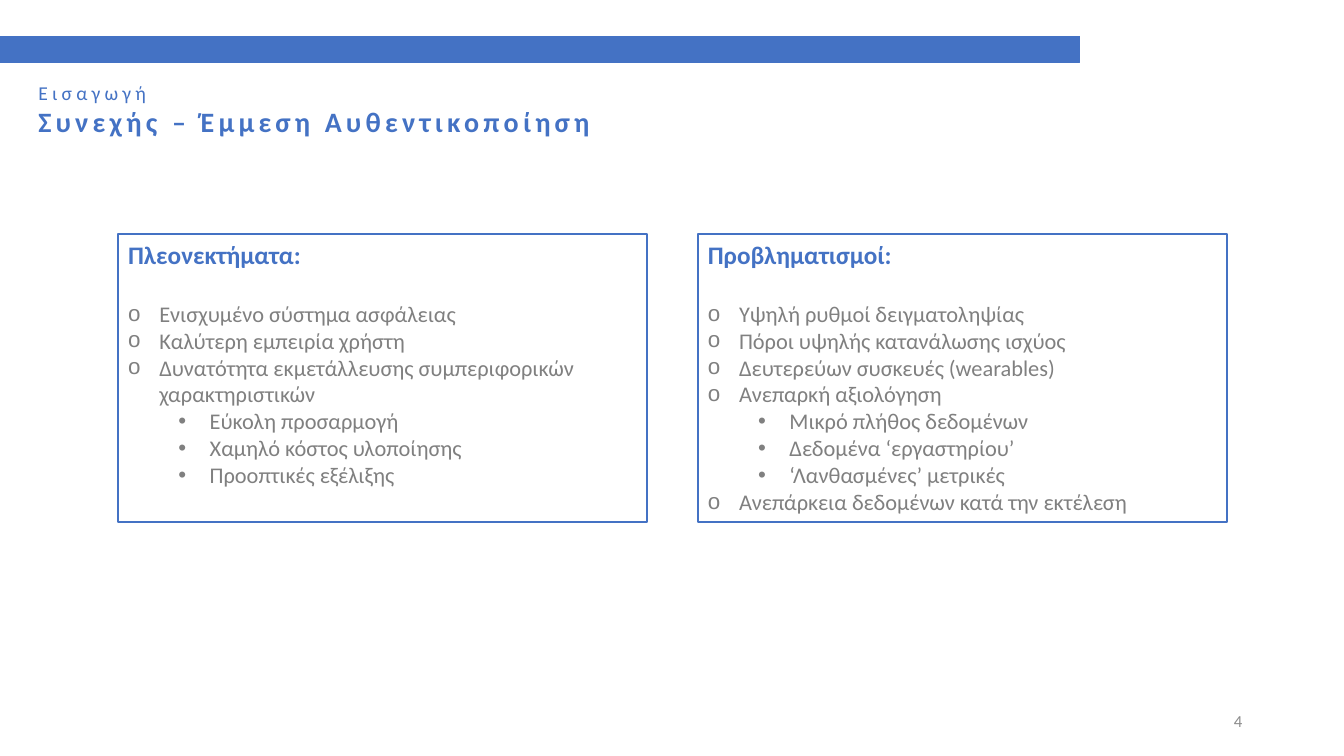
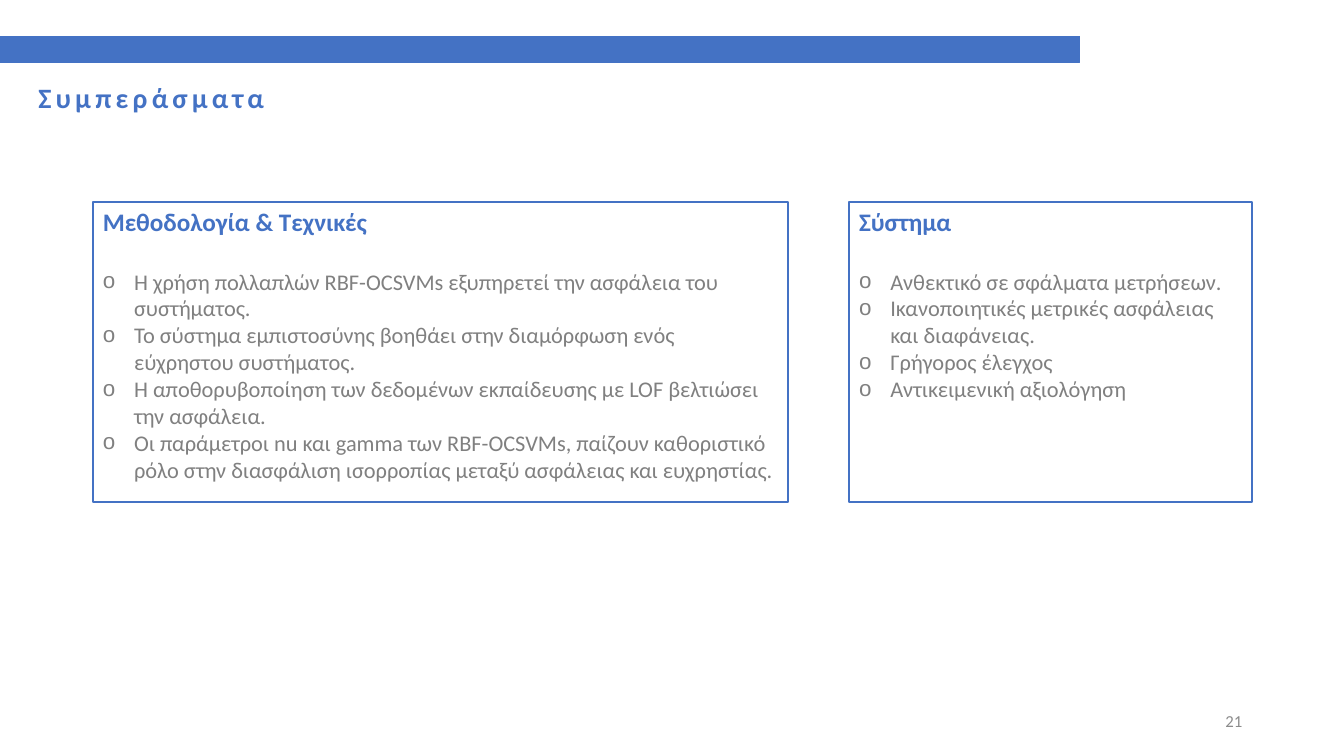
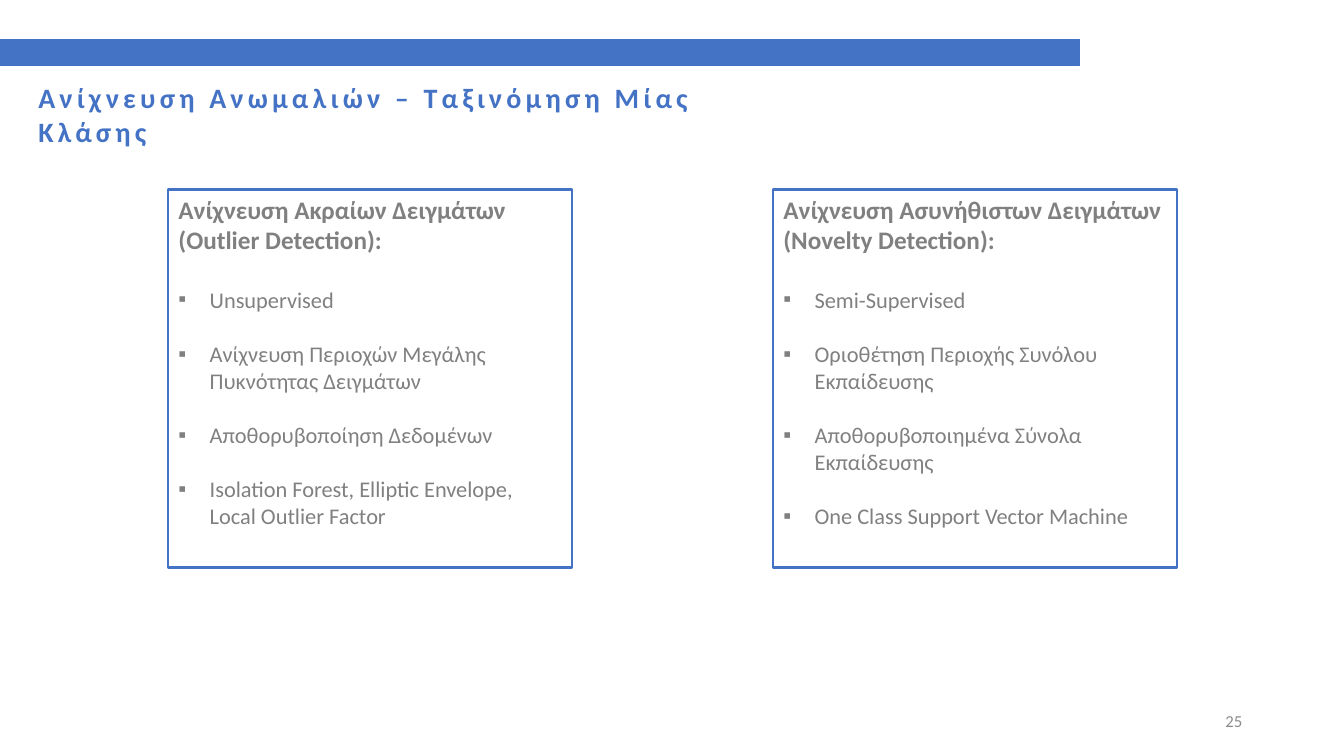
from dataclasses import dataclass

import lxml.etree
import pptx
import pptx.dml.color
import pptx.enum.shapes
import pptx.enum.text
import pptx.oxml.ns
import pptx.util

Inches = pptx.util.Inches
Pt = pptx.util.Pt
RGBColor = pptx.dml.color.RGBColor
PP_ALIGN = pptx.enum.text.PP_ALIGN
MSO_ANCHOR = pptx.enum.text.MSO_ANCHOR

BLUE = RGBColor(0x44, 0x72, 0xC4)
GRAY = RGBColor(0x80, 0x80, 0x80)
NUMBER_GRAY = RGBColor(0x8C, 0x8C, 0x8C)
FONT = "Calibri"
TWO_CONTENT_LAYOUT = 3
HANGING = 0.31
LEVEL_STEP = 0.5


@dataclass(frozen=True)
class Item:
    text: str
    level: int = 0


@dataclass(frozen=True)
class Card:
    left: float
    width: float
    heading: str
    items: tuple[Item, ...]


@dataclass(frozen=True)
class Page:
    number: int
    title: str
    title_width: float
    title_height: float
    card_top: float
    card_height: float
    cards: tuple[Card, Card]
    section: str = ""
    band_top: float = 0.36
    heading_color: RGBColor = BLUE
    bullets: tuple[str, str] = ("o", "•")
    item_gap: float = 0


PAGES = (
    Page(
        4, "Συνεχής – Έμμεση Αυθεντικοποίηση", 5.75, 0.67, 2.32, 2.86,
        (
            Card(1.17, 5.25, "Πλεονεκτήματα:", (
                Item("Ενισχυμένο σύστημα ασφάλειας"),
                Item("Καλύτερη εμπειρία χρήστη"),
                Item("Δυνατότητα εκμετάλλευσης συμπεριφορικών χαρακτηριστικών"),
                Item("Εύκολη προσαρμογή", 1),
                Item("Χαμηλό κόστος υλοποίησης", 1),
                Item("Προοπτικές εξέλιξης", 1),
            )),
            Card(6.92, 5.25, "Προβληματισμοί:", (
                Item("Υψηλή ρυθμοί δειγματοληψίας"),
                Item("Πόροι υψηλής κατανάλωσης ισχύος"),
                Item("Δευτερεύων συσκευές (wearables)"),
                Item("Ανεπαρκή αξιολόγηση"),
                Item("Μικρό πλήθος δεδομένων", 1),
                Item("Δεδομένα ‘εργαστηρίου’", 1),
                Item("‘Λανθασμένες’ μετρικές", 1),
                Item("Ανεπάρκεια δεδομένων κατά την εκτέλεση"),
            )),
        ),
        section="Εισαγωγή",
    ),
    Page(
        21, "Συμπεράσματα", 2.5, 0.44, 2, 2.98,
        (
            Card(0.92, 6.9, "Μεθοδολογία & Τεχνικές", (
                Item("Η χρήση πολλαπλών RBF-OCSVMs εξυπηρετεί την ασφάλεια του συστήματος."),
                Item("Το σύστημα εμπιστοσύνης βοηθάει στην διαμόρφωση ενός εύχρηστου συστήματος."),
                Item("Η αποθορυβοποίηση των δεδομένων εκπαίδευσης με LOF βελτιώσει την ασφάλεια."),
                Item("Οι παράμετροι nu και gamma των RBF-OCSVMs, παίζουν καθοριστικό ρόλο "
                     "στην διασφάλιση ισορροπίας μεταξύ ασφάλειας και ευχρηστίας."),
            )),
            Card(8.42, 4, "Σύστημα", (
                Item("Ανθεκτικό σε σφάλματα μετρήσεων."),
                Item("Ικανοποιητικές μετρικές ασφάλειας και διαφάνειας."),
                Item("Γρήγορος έλεγχος"),
                Item("Αντικειμενική αξιολόγηση"),
            )),
        ),
    ),
    Page(
        25, "Ανίχνευση Ανωμαλιών – Ταξινόμηση Μίας Κλάσης", 7.62, 0.44, 1.88, 3.75,
        (
            Card(1.67, 4, "Ανίχνευση Ακραίων Δειγμάτων\n(Outlier Detection):", (
                Item("Unsupervised"),
                Item("Ανίχνευση Περιοχών Μεγάλης Πυκνότητας Δειγμάτων"),
                Item("Αποθορυβοποίηση Δεδομένων"),
                Item("Isolation Forest, Elliptic Envelope, Local Outlier Factor"),
            )),
            Card(7.67, 4, "Ανίχνευση Ασυνήθιστων Δειγμάτων\n(Novelty Detection):", (
                Item("Semi-Supervised"),
                Item("Οριοθέτηση Περιοχής Συνόλου Εκπαίδευσης"),
                Item("Αποθορυβοποιημένα Σύνολα Εκπαίδευσης"),
                Item("One Class Support Vector Machine"),
            )),
        ),
        band_top=0.39,
        heading_color=GRAY,
        bullets=("▪", "•"),
        item_gap=19.5,
    ),
)


def place(box, left: float, top: float, width: float, height: float) -> None:
    box.left, box.top = Inches(left), Inches(top)
    box.width, box.height = Inches(width), Inches(height)


def prepare_frame(box, anchor=MSO_ANCHOR.TOP):
    frame = box.text_frame
    frame.word_wrap = True
    frame.auto_size = pptx.enum.text.MSO_AUTO_SIZE.NONE
    frame.vertical_anchor = anchor
    return frame


def next_paragraph(frame, is_first: bool, align=PP_ALIGN.LEFT):
    para = frame.paragraphs[0] if is_first else frame.add_paragraph()
    para.alignment = align
    para.space_before = para.space_after = Pt(0)
    return para


def add_text(para, text: str, size: float, color: RGBColor,
             bold: bool = False, tracking: int = 0) -> None:
    for index, line in enumerate(text.split("\n")):
        if index:
            para.add_line_break()
        span = para.add_run()
        span.text = line
        span.font.name = FONT
        span.font.size = Pt(size)
        span.font.bold = bold
        span.font.color.rgb = color
        if tracking:
            span._r.get_or_add_rPr().set("spc", str(tracking * 100))


def set_bullet(para, mark: str = "", level: int = 0) -> None:
    properties = para._p.get_or_add_pPr()
    margin = HANGING + LEVEL_STEP * level if mark else 0
    properties.set("marL", str(Inches(margin)))
    properties.set("indent", str(-Inches(HANGING) if mark else 0))
    tag = "a:buChar" if mark else "a:buNone"
    bullet = lxml.etree.SubElement(properties, pptx.oxml.ns.qn(tag))
    if mark:
        bullet.set("char", mark)


def draw_band(slide, top: float) -> None:
    band = slide.shapes.add_shape(
        pptx.enum.shapes.MSO_SHAPE.RECTANGLE,
        Inches(0), Inches(top), Inches(10.71), Inches(0.26))
    band.shadow.inherit = False
    band.fill.solid()
    band.fill.fore_color.rgb = BLUE
    band.line.color.rgb = BLUE
    band.line.width = Pt(1)


def draw_title(slide, page: Page) -> None:
    box = slide.shapes.title
    place(box, 0.28, 0.75, page.title_width, page.title_height)
    frame = prepare_frame(box)
    if page.section:
        add_text(next_paragraph(frame, True), page.section, 14, BLUE, tracking=3)
    para = next_paragraph(frame, not page.section)
    add_text(para, page.title, 20, BLUE, bold=True, tracking=3)


def draw_card(box, card: Card, page: Page) -> None:
    place(box, card.left, page.card_top, card.width, page.card_height)
    box.line.color.rgb = BLUE
    box.line.width = Pt(1.5)
    frame = prepare_frame(box)
    heading = next_paragraph(frame, True)
    heading.space_after = Pt(22)
    set_bullet(heading)
    add_text(heading, card.heading, 18, page.heading_color, bold=True)
    for index, item in enumerate(card.items):
        para = next_paragraph(frame, False)
        para.level = item.level
        if index:
            para.space_before = Pt(page.item_gap)
        set_bullet(para, page.bullets[item.level], item.level)
        add_text(para, item.text, 16, GRAY)


def draw_number(slide, number: int) -> None:
    box = slide.shapes.add_textbox(Inches(9.42), Inches(6.95), Inches(3), Inches(0.4))
    frame = prepare_frame(box, MSO_ANCHOR.MIDDLE)
    para = next_paragraph(frame, True, PP_ALIGN.RIGHT)
    add_text(para, str(number), 12, NUMBER_GRAY)


def draw_page(deck, page: Page) -> None:
    slide = deck.slides.add_slide(deck.slide_layouts[TWO_CONTENT_LAYOUT])
    draw_band(slide, page.band_top)
    draw_title(slide, page)
    for index, card in enumerate(page.cards, start=1):
        draw_card(slide.placeholders[index], card, page)
    draw_number(slide, page.number)


def main() -> None:
    deck = pptx.Presentation()
    deck.slide_width, deck.slide_height = Inches(13.33), Inches(7.5)
    for page in PAGES:
        draw_page(deck, page)
    deck.save("out.pptx")


if __name__ == "__main__":
    main()
